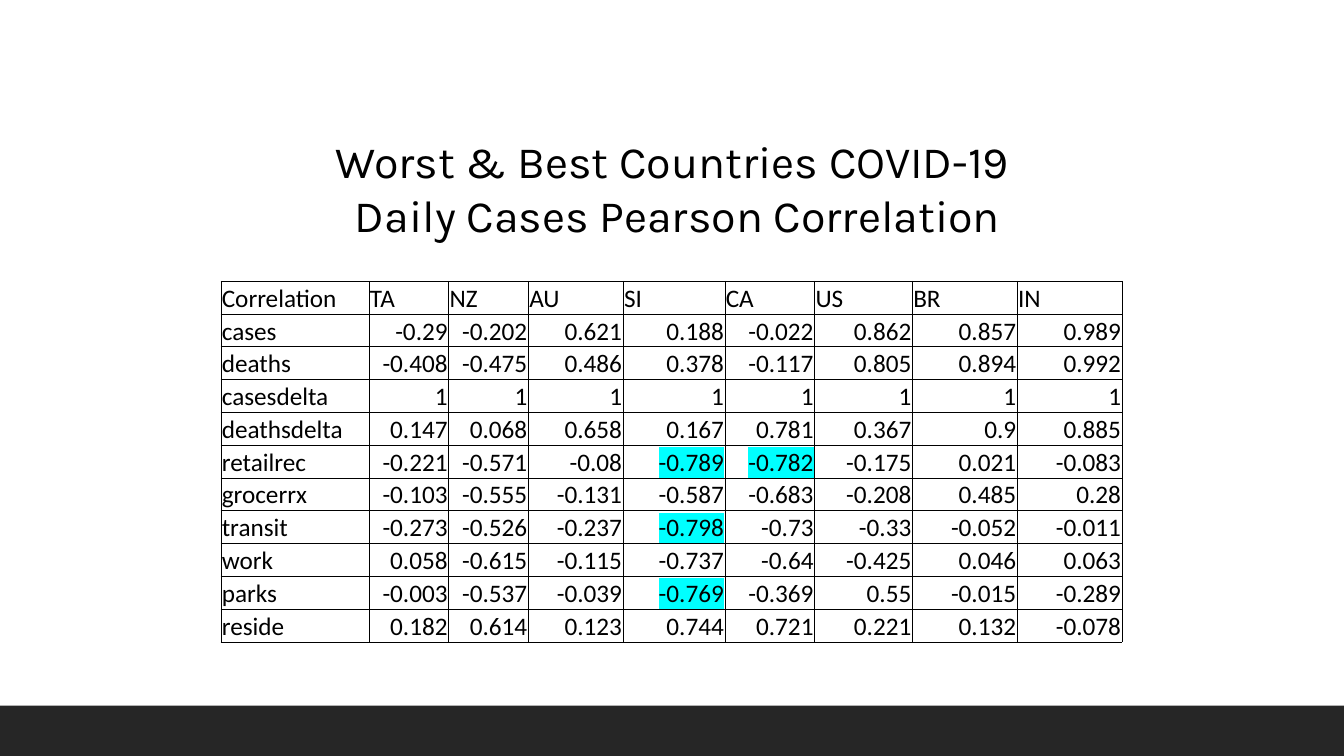
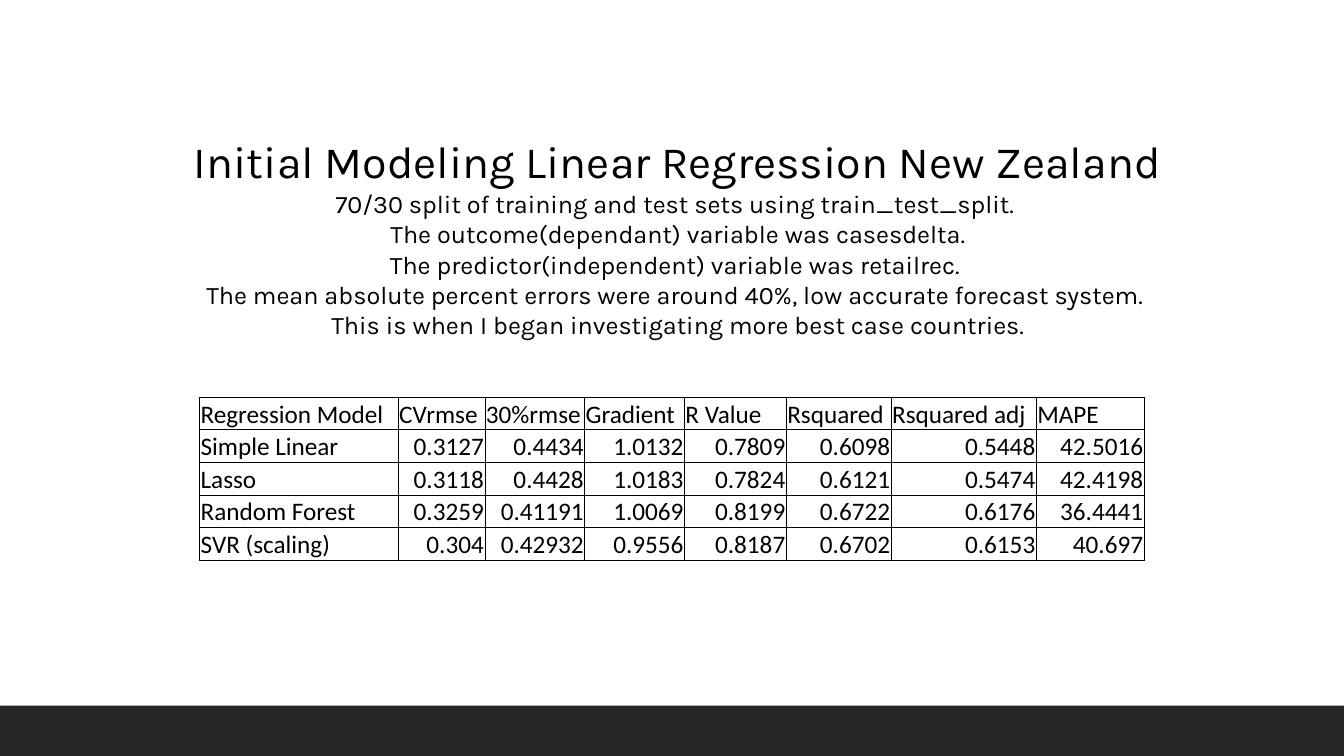
"""Build two slides of correlation and regression tables."""
from lxml.etree import SubElement
from pptx import Presentation
from pptx.dml.color import RGBColor as RGB
from pptx.enum.shapes import MSO_SHAPE as SHAPE
from pptx.enum.text import MSO_ANCHOR as ANCHOR, MSO_AUTO_SIZE as AUTO, PP_ALIGN as ALIGN
from pptx.oxml.ns import qn
from pptx.util import Inches, Pt

HUES = {"ink": "000000", "band": "262626", "mark": "00FFFF"}
HEAD, BODY = "Karla", "Calibri"
WIDE, HIGH = 13.33, 7.5
LEFT, SPAN = 1.29, 10.76
LIMIT = -0.75

SLIDES = [
    {
        "title": ["Worst & Best Countries COVID-19 ", "Daily Cases Pearson Correlation"],
        "box": (1.28, 1.65),
        "notes": [],
        "grid": (2.19, 2.79, 3.58),
        "cols": [1.47, 0.79, 0.79, 0.94, 1.01, 0.89, 0.97, 1.04, 1.04],
        "rows": [
            ("Correlation", "TA", "NZ", "AU", "SI", "CA", "US", "BR", "IN"),
            ("cases", -0.29, -0.202, 0.621, 0.188, -0.022, 0.862, 0.857, 0.989),
            ("deaths", -0.408, -0.475, 0.486, 0.378, -0.117, 0.805, 0.894, 0.992),
            ("casesdelta", 1, 1, 1, 1, 1, 1, 1, 1),
            ("deathsdelta", 0.147, 0.068, 0.658, 0.167, 0.781, 0.367, 0.9, 0.885),
            ("retailrec", -0.221, -0.571, -0.08, -0.789, -0.782, -0.175, 0.021, -0.083),
            ("grocerrx", -0.103, -0.555, -0.131, -0.587, -0.683, -0.208, 0.485, 0.28),
            ("transit", -0.273, -0.526, -0.237, -0.798, -0.73, -0.33, -0.052, -0.011),
            ("work", 0.058, -0.615, -0.115, -0.737, -0.64, -0.425, 0.046, 0.063),
            ("parks", -0.003, -0.537, -0.039, -0.769, -0.369, 0.55, -0.015, -0.289),
            ("reside", 0.182, 0.614, 0.123, 0.744, 0.721, 0.221, 0.132, -0.078),
        ],
    },
    {
        "title": ["Initial Modeling Linear Regression New Zealand"],
        "box": (1.28, 0.63),
        "notes": [
            "70/30 split of training and test sets using train_test_split. ",
            "The outcome(dependant) variable was casesdelta.",
            "The predictor(independent) variable was retailrec. ",
            "The mean absolute percent errors were around 40%, low accurate forecast system. ",
            "This is when I began investigating more best case countries.",
        ],
        "grid": (1.98, 3.94, 1.62),
        "cols": [1.97, 0.86, 0.99, 0.99, 1.01, 1.04, 1.44, 1.07],
        "rows": [
            ("Regression Model", "CVrmse", "30%rmse", "Gradient", "R Value",
             "Rsquared", "Rsquared adj", "MAPE"),
            ("Simple Linear", 0.3127, 0.4434, 1.0132, 0.7809, 0.6098, 0.5448, 42.5016),
            ("Lasso", 0.3118, 0.4428, 1.0183, 0.7824, 0.6121, 0.5474, 42.4198),
            ("Random Forest", 0.3259, 0.41191, 1.0069, 0.8199, 0.6722, 0.6176, 36.4441),
            ("SVR (scaling)", 0.304, 0.42932, 0.9556, 0.8187, 0.6702, 0.6153, 40.697),
        ],
    },
]


def style(para, face, size, align):
    para.alignment = align
    para.font.name, para.font.size = face, Pt(size)
    para.font.color.rgb = RGB.from_string(HUES["ink"])


def tint(node, hue):
    SubElement(node, qn("a:srgbClr")).set("val", HUES[hue])


def write(shape, lines, size, top, high):
    shape.left, shape.top = Inches(LEFT), Inches(top)
    shape.width, shape.height = Inches(SPAN), Inches(high)
    frame = shape.text_frame
    frame.word_wrap, frame.auto_size = True, AUTO.NONE
    frame.vertical_anchor = ANCHOR.TOP
    frame.text = "\n".join(lines)
    for para in frame.paragraphs:
        style(para, HEAD, size, ALIGN.CENTER)
        props = para._p.get_or_add_pPr()
        props.set("marL", str(Inches(0.11)))
        props.set("indent", "0")


def edge(cell):
    props = cell._tc.get_or_add_tcPr()
    for side in ("lnL", "lnR", "lnT", "lnB"):
        line = SubElement(props, qn(f"a:{side}"), w=str(Pt(0.5)))
        tint(SubElement(line, qn("a:solidFill")), "ink")
    cell.fill.background()


def fill(cell, value, number):
    cell.text = str(value)
    cell.vertical_anchor = ANCHOR.BOTTOM
    cell.margin_left = cell.margin_right = cell.margin_top = Inches(0.01)
    cell.margin_bottom = 0
    edge(cell)
    para = cell.text_frame.paragraphs[0]
    style(para, BODY, 18, ALIGN.RIGHT if number else ALIGN.LEFT)
    if number and value < LIMIT:
        props = para.runs[0]._r.get_or_add_rPr()
        tint(SubElement(props, qn("a:highlight")), "mark")


def draw(slide, rows, cols, left, top, high):
    table = slide.shapes.add_table(
        len(rows), len(cols), Inches(left), Inches(top), Inches(sum(cols)), Inches(high)
    ).table
    table.first_row = table.horz_banding = False
    for col, wide in zip(table.columns, cols):
        col.width = Inches(wide)
    for r, row in enumerate(rows):
        table.rows[r].height = Inches(high / len(rows))
        for c, value in enumerate(row):
            fill(table.cell(r, c), value, r > 0 and c > 0)


def band(slide, master):
    bar = slide.shapes.add_shape(SHAPE.RECTANGLE, 0, Inches(7), Inches(WIDE), Inches(0.5))
    bar.shadow.inherit = False
    bar.fill.solid()
    bar.fill.fore_color.rgb = RGB.from_string(HUES["band"])
    bar.line.fill.background()
    master.shapes.element.insert(2, bar.element)


def main():
    deck = Presentation()
    deck.slide_width, deck.slide_height = Inches(WIDE), Inches(HIGH)
    for n, item in enumerate(SLIDES):
        slide = deck.slides.add_slide(deck.slide_layouts[5])
        if n == 0:
            band(slide, deck.slide_master)
        top, high = item["box"]
        write(slide.shapes.title, item["title"], 32, top, high)
        if item["notes"]:
            write(slide.shapes.add_textbox(0, 0, 0, 0), item["notes"], 18, 1.82, 2.09)
        draw(slide, item["rows"], item["cols"], *item["grid"])
    deck.save("out.pptx")


if __name__ == "__main__":
    main()
